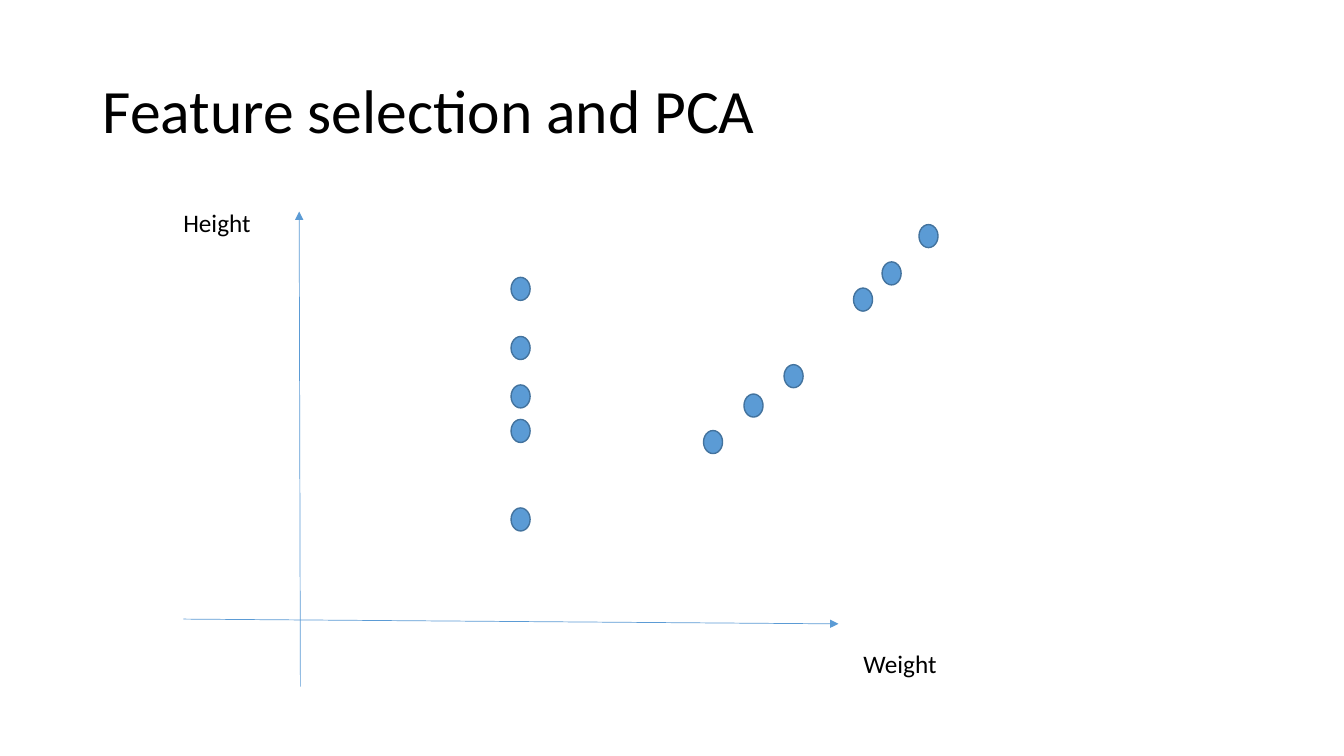
from dataclasses import dataclass

from lxml.etree import SubElement
from pptx import Presentation
from pptx.dml.color import RGBColor
from pptx.enum.shapes import MSO_CONNECTOR as Connector, MSO_SHAPE as Shape
from pptx.enum.text import MSO_ANCHOR as Anchor, MSO_AUTO_SIZE as AutoSize
from pptx.oxml.ns import qn
from pptx.util import Cm, Pt

# Content, lengths in centimetres
TITLE = ("Feature selection and PCA", (2.34, 1.02, 29.21, 3.68))
AXIS_LABELS = [
    ("Weight", (21.51, 16.21, 2.39, 1.02)),
    ("Height", (4.37, 5.11, 2.24, 1.02)),
]
AXES = [  # start x, start y, tip x, tip y
    (7.57, 17.3, 7.54, 5.33),
    (4.62, 15.6, 21.13, 15.72),
]
COLUMN_LEFT = 12.88
COLUMN_TOPS = [6.99, 8.48, 9.7, 10.57, 12.8]
DIAGONAL_POINTS = [
    (23.16, 5.66), (22.23, 6.6), (21.51, 7.26),
    (19.76, 9.19), (18.75, 9.93), (17.73, 10.85),
]
POINT_SIZE = (0.48, 0.58)


@dataclass(frozen=True)
class Theme:
    font: str = "Calibri"
    text: RGBColor = RGBColor(0x00, 0x00, 0x00)
    accent: RGBColor = RGBColor(0x5B, 0x9B, 0xD5)
    outline: RGBColor = RGBColor(0x43, 0x73, 0x9E)
    title_size: Pt = Pt(44)
    label_size: Pt = Pt(18)
    axis_width: Pt = Pt(0.5)
    outline_width: Pt = Pt(1)


theme = Theme()


def lengths(values):
    return [Cm(value) for value in values]


def add_text(slide, text, box, size):
    frame = slide.shapes.add_textbox(*lengths(box)).text_frame
    paragraph = frame.paragraphs[0]
    paragraph.text = text
    paragraph.font.name = theme.font
    paragraph.font.size = size
    paragraph.font.color.rgb = theme.text
    return frame


def add_axis(slide, ends):
    axis = slide.shapes.add_connector(Connector.STRAIGHT, *lengths(ends))
    axis.line.color.rgb = theme.accent
    axis.line.width = theme.axis_width
    SubElement(axis.line._get_or_add_ln(), qn("a:tailEnd"), type="triangle")
    SubElement(axis._element.spPr, qn("a:effectLst"))


def add_point(slide, left, top):
    point = slide.shapes.add_shape(Shape.OVAL, *lengths((left, top, *POINT_SIZE)))
    point.shadow.inherit = False
    point.fill.solid()
    point.fill.fore_color.rgb = theme.accent
    point.line.color.rgb = theme.outline
    point.line.width = theme.outline_width


def main():
    presentation = Presentation()
    presentation.slide_width, presentation.slide_height = Cm(33.87), Cm(19.05)
    slide = presentation.slides.add_slide(presentation.slide_layouts[6])

    # Title
    title = add_text(slide, *TITLE, theme.title_size)
    title.word_wrap = True
    title.vertical_anchor = Anchor.MIDDLE
    title.paragraphs[0].line_spacing = 0.9

    # Axes and their labels
    for ends in AXES:
        add_axis(slide, ends)
    for text, box in AXIS_LABELS:
        label = add_text(slide, text, box, theme.label_size)
        label.word_wrap = False
        label.auto_size = AutoSize.SHAPE_TO_FIT_TEXT

    # Data points: one vertical column and one rising diagonal
    column_points = [(COLUMN_LEFT, top) for top in COLUMN_TOPS]
    for left, top in column_points + DIAGONAL_POINTS:
        add_point(slide, left, top)

    presentation.save("out.pptx")


if __name__ == "__main__":
    main()
